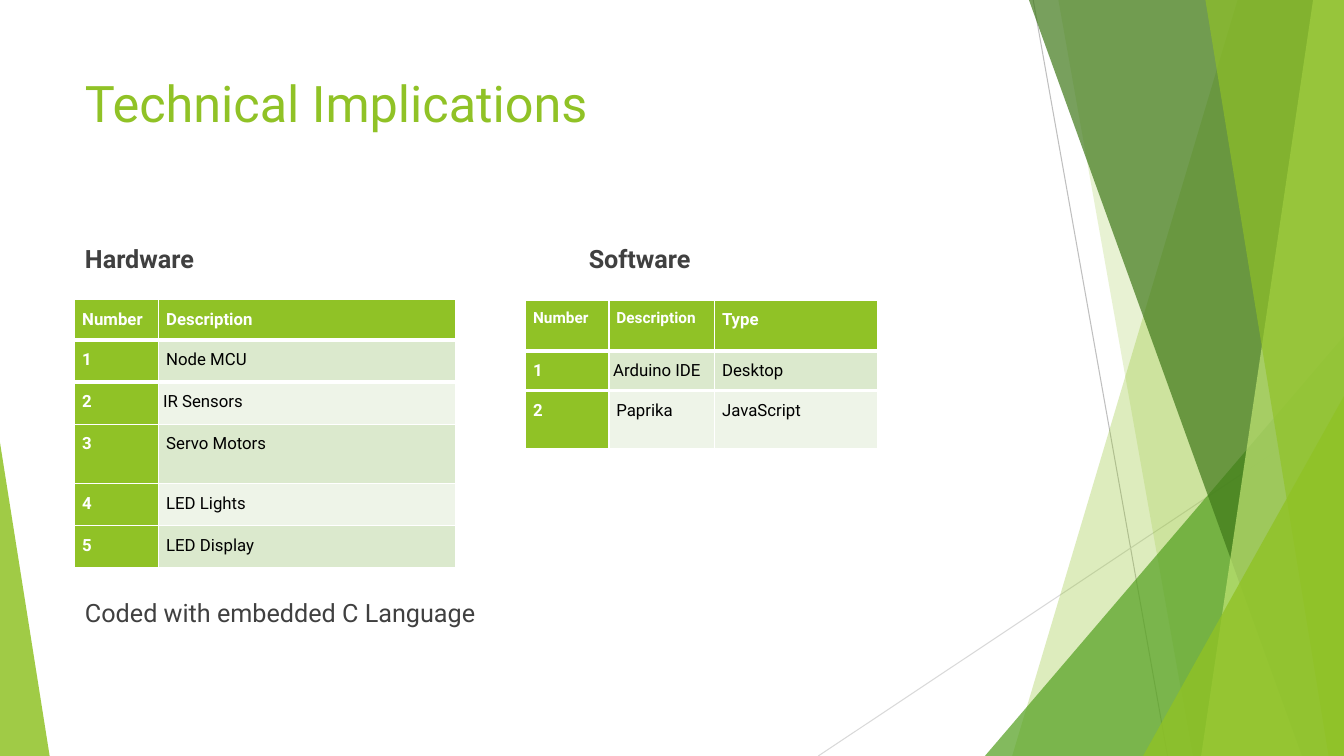
from lxml.etree import Element, SubElement
from pptx import Presentation
from pptx.dml.color import RGBColor
from pptx.enum.shapes import MSO_CONNECTOR, MSO_SHAPE
from pptx.enum.text import MSO_ANCHOR, MSO_AUTO_SIZE, PP_ALIGN
from pptx.oxml.ns import qn
from pptx.util import Pt

WIDE, HIGH = 960, 540
LIME = RGBColor(0x90, 0xC2, 0x26)
LEAF = RGBColor(0x54, 0xA0, 0x21)
MOSS = RGBColor(0x3F, 0x78, 0x19)
PALE = RGBColor(0xC0, 0xE4, 0x74)
BANDS = RGBColor(0xDB, 0xE9, 0xCD), RGBColor(0xEE, 0xF4, 0xE8)
GREY = RGBColor(0xBF, 0xBF, 0xBF)
MIST = RGBColor(0xD9, 0xD9, 0xD9)
INK = RGBColor(0x40, 0x40, 0x40)
BLACK = RGBColor(0, 0, 0)
WHITE = RGBColor(0xFF, 0xFF, 0xFF)


class Sheet:
    face = "Roboto"

    def __init__(self, slide):
        self.slide = slide
        self.shapes = slide.shapes

    def line(self, x1, y1, x2, y2, color):
        line = self.shapes.add_connector(
            MSO_CONNECTOR.STRAIGHT, Pt(x1), Pt(y1), Pt(x2), Pt(y2))
        line.line.color.rgb = color
        line.line.width = Pt(0.75)
        SubElement(line.element.spPr, qn("a:effectLst"))

    def paint(self, shape, color, alpha):
        """Fill a shape, with alpha as its opacity in percent."""
        shape.shadow.inherit = False
        shape.line.fill.background()
        shape.fill.solid()
        shape.fill.fore_color.rgb = color
        tint = shape.element.spPr.find(".//" + qn("a:srgbClr"))
        SubElement(tint, qn("a:alpha"), val=str(alpha * 1000))

    def blade(self, top, foot, color, alpha):
        """Fill from a slanted left edge to the right side of the slide."""
        pen = self.shapes.build_freeform(top, 0, scale=Pt(1))
        pen.add_line_segments([(WIDE, 0), (WIDE, HIGH), (foot, HIGH)])
        self.paint(pen.convert_to_shape(), color, alpha)

    def wedge(self, x, y, width, tip, color, alpha):
        """Draw a right triangle that stands on the foot of the slide."""
        shape = self.shapes.add_shape(
            MSO_SHAPE.ISOSCELES_TRIANGLE, Pt(x), Pt(y), Pt(width), Pt(HIGH - y))
        shape.adjustments[0] = tip
        self.paint(shape, color, alpha)

    def style(self, para, size, color, bold=False):
        font = para.font
        font.name, font.size, font.bold = self.face, Pt(size), bold
        font.color.rgb = color

    def place(self, holder, x, y, width, height):
        """Move a placeholder, bring it to the front and give its text frame."""
        holder.left, holder.top = Pt(x), Pt(y)
        holder.width, holder.height = Pt(width), Pt(height)
        holder.element.getparent().append(holder.element)
        frame = holder.text_frame
        frame.word_wrap = True
        frame.auto_size = MSO_AUTO_SIZE.NONE
        frame.vertical_anchor = MSO_ANCHOR.TOP
        return frame

    def title(self, text, *place):
        frame = self.place(self.shapes.title, *place)
        frame.text = text
        para = frame.paragraphs[0]
        para.alignment = PP_ALIGN.LEFT
        self.style(para, 36, LIME)

    def body(self, items, *place):
        """Write plain paragraphs from (text, bold, space before) items."""
        frame = self.place(self.slide.placeholders[1], *place)
        frame.text = "\n".join(text for text, _, _ in items)
        for para, (_, bold, gap) in zip(frame.paragraphs, items):
            props = para._p.get_or_add_pPr()
            props.set("marL", "0")
            props.set("indent", "0")
            SubElement(props, qn("a:buNone"))
            para.space_before = Pt(gap)
            self.style(para, 18, INK, bold)

    def label(self, text, x, y, width, height):
        box = self.shapes.add_textbox(Pt(x), Pt(y), Pt(width), Pt(height))
        frame = box.text_frame
        frame.word_wrap = True
        frame.text = text
        self.style(frame.paragraphs[0], 18, INK, True)

    def rule(self, cell, side):
        """Draw a thick white border on one side of a cell."""
        edge = Element(qn(side), w=str(Pt(3)))
        fill = SubElement(edge, qn("a:solidFill"))
        SubElement(fill, qn("a:srgbClr"), val=str(WHITE))
        cell._tc.get_or_add_tcPr().insert(0, edge)

    def table(self, x, y, widths, heights, rows, sizes, near):
        """Add a table; sizes are for the header, near cells have a small inset."""
        grid = self.shapes.add_table(
            len(rows), len(widths), Pt(x), Pt(y),
            Pt(sum(widths)), Pt(sum(heights))).table
        for column, width in zip(grid.columns, widths):
            column.width = Pt(width)
        for r, (row, height) in enumerate(zip(rows, heights)):
            grid.rows[r].height = Pt(height)
            for c, text in enumerate(row):
                head = r == 0 or c == 0
                cell = grid.cell(r, c)
                cell.margin_top = cell.margin_right = cell.margin_bottom = 0
                cell.margin_left = Pt(3 if text in near else 5.25)
                cell.fill.solid()
                cell.fill.fore_color.rgb = LIME if head else BANDS[(r - 1) % 2]
                if r < 2:
                    self.rule(cell, ("a:lnB", "a:lnT")[r])
                cell.text = text
                para = cell.text_frame.paragraphs[0]
                para.line_spacing = 1.5
                self.style(para, sizes[c] if r == 0 else 12,
                           WHITE if head else BLACK, head)


def main():
    deck = Presentation()
    deck.slide_width, deck.slide_height = Pt(WIDE), Pt(HIGH)
    sheet = Sheet(deck.slides.add_slide(deck.slide_layouts[1]))

    sheet.line(738, 0, 834, HIGH, GREY)
    sheet.line(WIDE, 290, 584.5, HIGH, MIST)
    sheet.blade(884, 723, LIME, 30)
    sheet.blade(756, 852, LIME, 20)
    sheet.wedge(703.5, 240, 256.5, 1, LEAF, 72)
    sheet.blade(735, 929.5, MOSS, 70)
    sheet.blade(938, 858, PALE, 70)
    sheet.blade(861, 949, LIME, 65)
    sheet.wedge(816.5, 283, 143.5, 1, LIME, 80)
    sheet.wedge(0, 316, 35.5, 0, LIME, 85)

    sheet.title("Technical Implications", 53.5, 48, 677, 104)
    sheet.body([("Hardware", True, 0),
                ("Coded with embedded C Language", False, 231.5)],
               53.5, 170, 677, 305)
    sheet.label("Software", 413.5, 170, 200, 30)

    sheet.table(53.5, 214, [60, 212], [29, 30, 30, 42.5, 30, 30],
                [("Number", "Description"),
                 ("1", "Node MCU"),
                 ("2", "IR Sensors"),
                 ("3", "Servo Motors"),
                 ("4", "LED Lights"),
                 ("5", "LED Display")],
                [12, 12], ["IR Sensors"])
    sheet.table(375.5, 214.5, [59.5, 75.5, 116.5], [36, 28.5, 41.5],
                [("Number", "Description", "Type"),
                 ("1", "Arduino IDE", "Desktop"),
                 ("2", "Paprika", "JavaScript")],
                [11, 11, 12], ["Arduino IDE"])
    deck.save("out.pptx")


if __name__ == "__main__":
    main()
